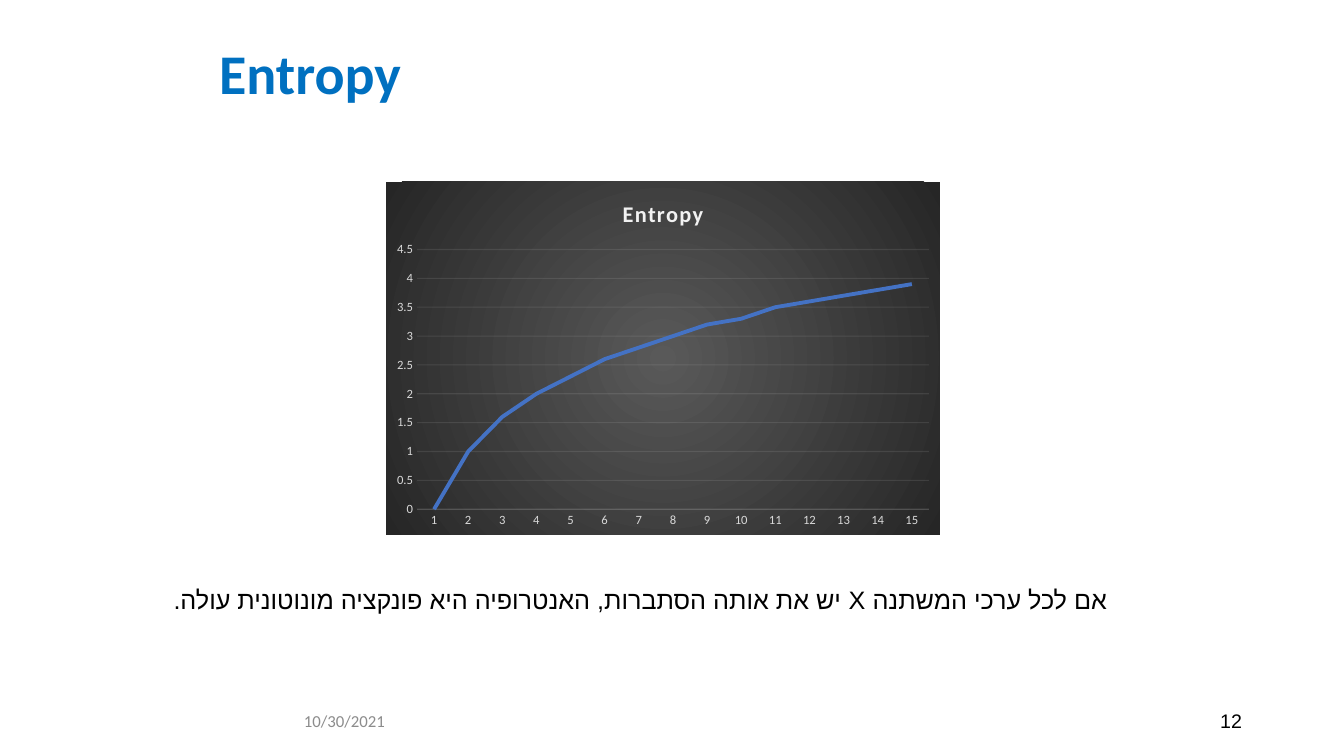
import math

import pptx
import pptx.chart.data
import pptx.dml.color
import pptx.enum.chart
import pptx.enum.text
import pptx.oxml
import pptx.oxml.ns
import pptx.util
from lxml import etree

EMU_PER_PX = 914400 / 100.8
ALIGN = pptx.enum.text.PP_ALIGN
ANCHOR = pptx.enum.text.MSO_ANCHOR
COLORS = {
    "heading": "0070C0",
    "text": "000000",
    "date": "8C8C8C",
    "curve": "4472C4",
    "chart_title": "F2F2F2",
    "labels": "D9D9D9",
    "grid": "F2F2F2",
    "center": "595959",
    "edge": "262626",
}


def px(length):
    return pptx.util.Emu(round(length * EMU_PER_PX))


def rgb(name):
    return pptx.dml.color.RGBColor.from_string(COLORS[name])


def format_font(font, *, size, color, name="Calibri", bold=False):
    font.size = pptx.util.Pt(size)
    font.bold = bold
    font.color.rgb = rgb(color)
    font.name = name


def write(frame, text, *, align=ALIGN.RIGHT, anchor=ANCHOR.MIDDLE, rtl=False,
          spacing=None, **font_format):
    frame.word_wrap = True
    frame.vertical_anchor = anchor
    paragraph = frame.paragraphs[0]
    paragraph.alignment = align
    paragraph.line_spacing = spacing
    if rtl:
        paragraph._p.get_or_add_pPr().set("rtl", "1")
    run = paragraph.add_run()
    run.text = text
    format_font(run.font, **font_format)
    # Hebrew takes its typeface from the complex-script font
    script_font = etree.SubElement(run._r.get_or_add_rPr(), pptx.oxml.ns.qn("a:cs"))
    script_font.set("typeface", font_format.get("name", "Calibri"))


class EntropySlide:
    def __init__(self, presentation):
        self.slide = presentation.slides.add_slide(presentation.slide_layouts[5])

    def title(self, text, left, top, width, height, **text_format):
        heading = self.slide.shapes.title
        heading.left, heading.top = px(left), px(top)
        heading.width, heading.height = px(width), px(height)
        heading.text_frame.auto_size = pptx.enum.text.MSO_AUTO_SIZE.NONE
        write(heading.text_frame, text, **text_format)

    def text(self, text, left, top, width, height, **text_format):
        box = self.slide.shapes.add_textbox(px(left), px(top), px(width), px(height))
        write(box.text_frame, text, **text_format)

    def line_chart(self, title, categories, values, left, top, width, height):
        data = pptx.chart.data.CategoryChartData()
        data.categories = categories
        data.add_series("Series 1", values)
        chart = self.slide.shapes.add_chart(
            pptx.enum.chart.XL_CHART_TYPE.LINE,
            px(left), px(top), px(width), px(height), data).chart
        format_font(chart.font, size=10, color="text")
        chart.has_legend = False

        chart.has_title = True
        chart.chart_title.include_in_layout = False
        heading = chart.chart_title.text_frame.paragraphs[0].add_run()
        heading.text = title
        format_font(heading.font, size=16, color="chart_title", bold=True)
        heading._r.get_or_add_rPr().set("spc", "100")

        plot = chart.plots[0]
        plot.vary_by_categories = False
        curve = plot.series[0]
        curve.smooth = False
        curve.format.line.color.rgb = rgb("curve")
        curve.format.line.width = pptx.util.Pt(2.75)

        for axis in (chart.category_axis, chart.value_axis):
            axis.major_tick_mark = pptx.enum.chart.XL_TICK_MARK.NONE
            axis.minor_tick_mark = pptx.enum.chart.XL_TICK_MARK.NONE
            format_font(axis.tick_labels.font, size=9, color="labels")
        scale = chart.value_axis
        scale.minimum_scale, scale.maximum_scale, scale.major_unit = 0, 4.5, 0.5
        scale.has_major_gridlines = True
        scale.format.line.fill.background()
        for line in (chart.category_axis.format.line, scale.major_gridlines.format.line):
            line.color.rgb = rgb("grid")
            line.width = pptx.util.Pt(0.75)
        self.style_chart_area(chart)

    def style_chart_area(self, chart):
        """Fade the grid lines and lay a radial gradient behind the chart."""
        qn = pptx.oxml.ns.qn
        for line in chart.element.iter(qn("a:ln")):
            for color in line.iter(qn("a:srgbClr")):
                if color.get("val") == COLORS["grid"]:
                    etree.SubElement(color, qn("a:alpha")).set("val", "10000")
        area = pptx.oxml.parse_xml(
            f'<c:spPr {pptx.oxml.ns.nsdecls("c", "a")}><a:gradFill><a:gsLst>'
            f'<a:gs pos="0"><a:srgbClr val="{COLORS["center"]}"/></a:gs>'
            f'<a:gs pos="100000"><a:srgbClr val="{COLORS["edge"]}"/></a:gs>'
            '</a:gsLst><a:path path="circle">'
            '<a:fillToRect l="50000" t="50000" r="50000" b="50000"/>'
            '</a:path></a:gradFill><a:ln><a:noFill/></a:ln></c:spPr>')
        chart.element.find(qn("c:txPr")).addprevious(area)


def main():
    presentation = pptx.Presentation()
    presentation.slide_width, presentation.slide_height = px(1344), px(756)
    page = EntropySlide(presentation)
    page.title("Entropy", -219, 13, 1058, 126, align=ALIGN.CENTER, rtl=True,
               spacing=0.9, size=40, color="heading", bold=True)
    page.text("12", 950, 701, 302, 40, rtl=True, size=14, color="text", name="Arial")
    outcomes = range(1, 16)
    page.line_chart("Entropy", [str(n) for n in outcomes],
                    [round(math.log2(n), 1) for n in outcomes], 386, 182, 554, 353)
    page.text("אם לכל ערכי המשתנה X יש את אותה הסתברות, האנטרופיה היא פונקציה מונוטונית עולה.",
              126, 579, 991, 40, anchor=ANCHOR.TOP, rtl=True,
              size=18, color="text", name="Arial")
    page.text("10/30/2021", 93, 701, 302, 40, size=12, color="date")
    presentation.save("out.pptx")


if __name__ == "__main__":
    main()
